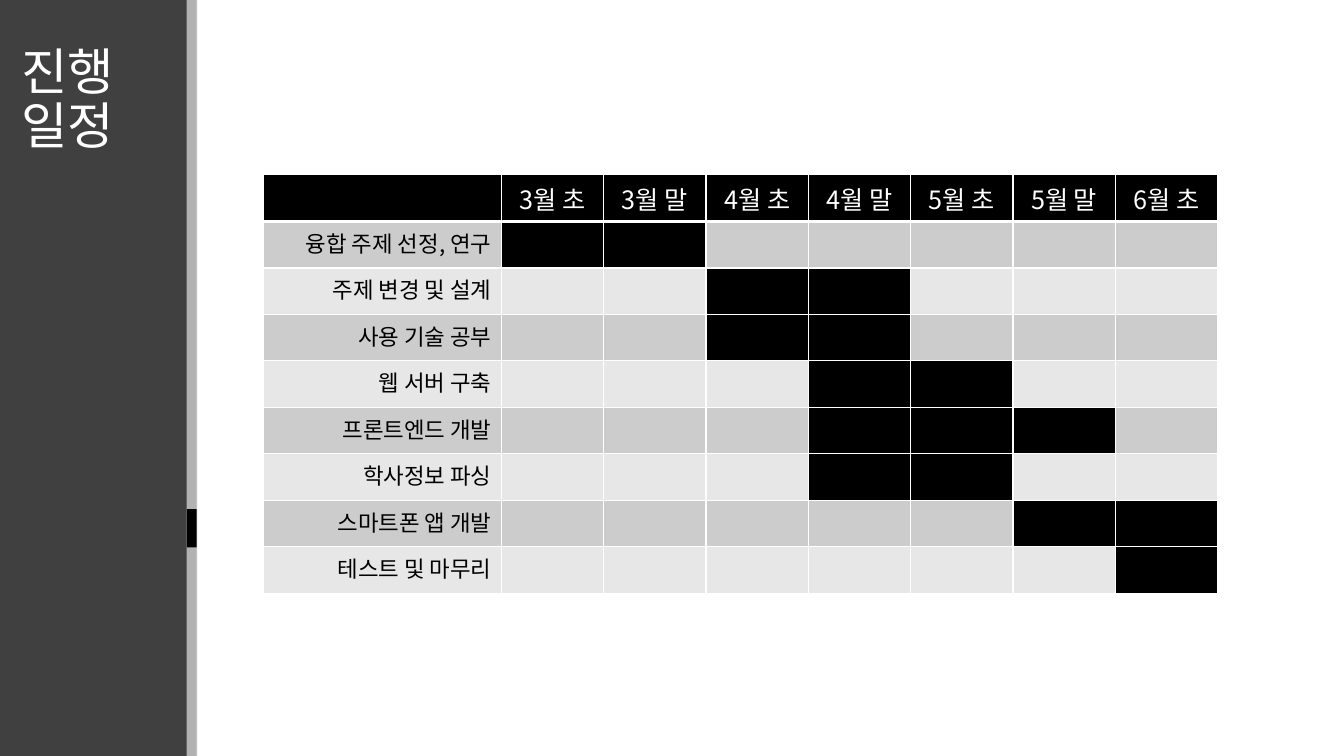
from lxml import etree
from pptx import Presentation
from pptx.dml.color import RGBColor
from pptx.enum.shapes import MSO_SHAPE
from pptx.enum.text import MSO_ANCHOR, PP_ALIGN
from pptx.oxml.ns import qn
from pptx.util import Pt

# Content: each task with its first and last period
TITLE = ["진행", "일정"]
PERIODS = ["3월 초", "3월 말", "4월 초", "4월 말", "5월 초", "5월 말", "6월 초"]
TASKS = [
    ("융합 주제 선정, 연구", "3월 초", "3월 말"),
    ("주제 변경 및 설계", "4월 초", "4월 말"),
    ("사용 기술 공부", "4월 초", "4월 말"),
    ("웹 서버 구축", "4월 말", "5월 초"),
    ("프론트엔드 개발", "4월 말", "5월 말"),
    ("학사정보 파싱", "4월 말", "5월 초"),
    ("스마트폰 앱 개발", "5월 말", "6월 초"),
    ("테스트 및 마무리", "6월 초", "6월 초"),
]

THEME = {
    "font": "Noto Sans CJK KR",
    "black": "000000", "white": "FFFFFF", "strip": "D9D9D9",
    "bands": ["CCCCCC", "E7E7E7"],
    "title": 36, "header": 18, "task": 16,
}

# Layout, in points
SLIDE_W, SLIDE_H = 960, 540
TABLE_X, TABLE_Y = 188.2, 124.9
TASK_W, PERIOD_W, ROW_H = 170, 73.1, 33.2

prs = Presentation()
prs.slide_width, prs.slide_height = Pt(SLIDE_W), Pt(SLIDE_H)
slide = prs.slides.add_slide(prs.slide_layouts[6])


def write(paragraph, text, size, color, align):
    paragraph.alignment = align
    run = paragraph.add_run()
    run.text = text
    run.font.size = Pt(size)
    run.font.name = THEME["font"]
    run.font.color.rgb = RGBColor.from_string(color)
    etree.SubElement(run.font._element, qn("a:ea"), typeface=THEME["font"])


def add_bar(x, y, w, h, color, opacity=100):
    bar = slide.shapes.add_shape(MSO_SHAPE.RECTANGLE, Pt(x), Pt(y), Pt(w), Pt(h))
    bar.shadow.inherit = False
    bar.line.fill.background()
    bar.fill.solid()
    bar.fill.fore_color.rgb = RGBColor.from_string(color)
    if opacity < 100:
        srgb = bar._element.spPr.find(".//" + qn("a:srgbClr"))
        etree.SubElement(srgb, qn("a:alpha"), val=str(opacity * 1000))


def style_cell(cell, color, bottom=1):
    # Borders go ahead of the fill in the cell properties
    props = cell._tc.get_or_add_tcPr()
    for side, width in (("L", 1), ("R", 1), ("T", 1), ("B", bottom)):
        line = etree.SubElement(props, qn("a:ln" + side), w=str(Pt(width)))
        fill = etree.SubElement(line, qn("a:solidFill"))
        etree.SubElement(fill, qn("a:srgbClr"), val=THEME["white"])
    cell.fill.solid()
    cell.fill.fore_color.rgb = RGBColor.from_string(color)


# Schedule table
rows, cols = len(TASKS) + 1, len(PERIODS) + 1
table = slide.shapes.add_table(
    rows, cols, Pt(TABLE_X), Pt(TABLE_Y),
    Pt(TASK_W + PERIOD_W * len(PERIODS)), Pt(ROW_H * rows)).table
table.first_row = table.horz_banding = False
for c, column in enumerate(table.columns):
    column.width = Pt(PERIOD_W if c else TASK_W)
for row in table.rows:
    row.height = Pt(ROW_H)

for c, period in enumerate([""] + PERIODS):
    cell = table.cell(0, c)
    style_cell(cell, THEME["black"], bottom=3)
    if period:
        write(cell.text_frame.paragraphs[0], period, THEME["header"],
              THEME["white"], PP_ALIGN.CENTER)

for r, (task, first, last) in enumerate(TASKS, start=1):
    active = range(PERIODS.index(first) + 1, PERIODS.index(last) + 2)
    band = THEME["bands"][(r - 1) % 2]
    for c in range(cols):
        style_cell(table.cell(r, c), THEME["black"] if c in active else band)
    write(table.cell(r, 0).text_frame.paragraphs[0], task, THEME["task"],
          THEME["black"], PP_ALIGN.RIGHT)

# Sidebar with its title
add_bar(0, 0, 140.4, SLIDE_H, THEME["black"], opacity=75)
frame = slide.shapes.add_textbox(Pt(8), Pt(20), Pt(126), Pt(104.4)).text_frame
frame.word_wrap = True
frame.vertical_anchor = MSO_ANCHOR.MIDDLE
for i, text in enumerate(TITLE):
    paragraph = frame.add_paragraph() if i else frame.paragraphs[0]
    paragraph.line_spacing = 0.9
    write(paragraph, text, THEME["title"], THEME["white"], PP_ALIGN.LEFT)

# Edge strip and marker
add_bar(133.4, 0, 7.6, SLIDE_H, THEME["strip"], opacity=75)
add_bar(133.4, 363.6, 7, 27.4, THEME["black"])

prs.save("out.pptx")
